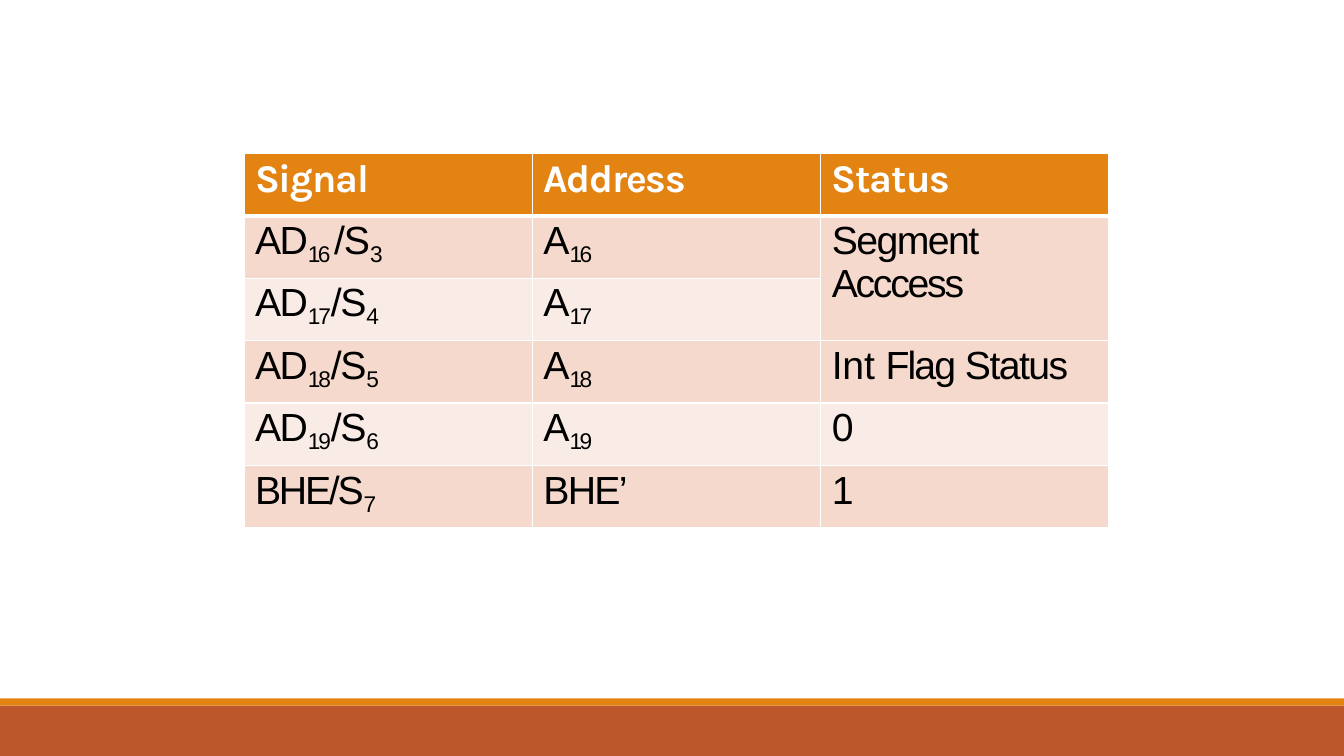
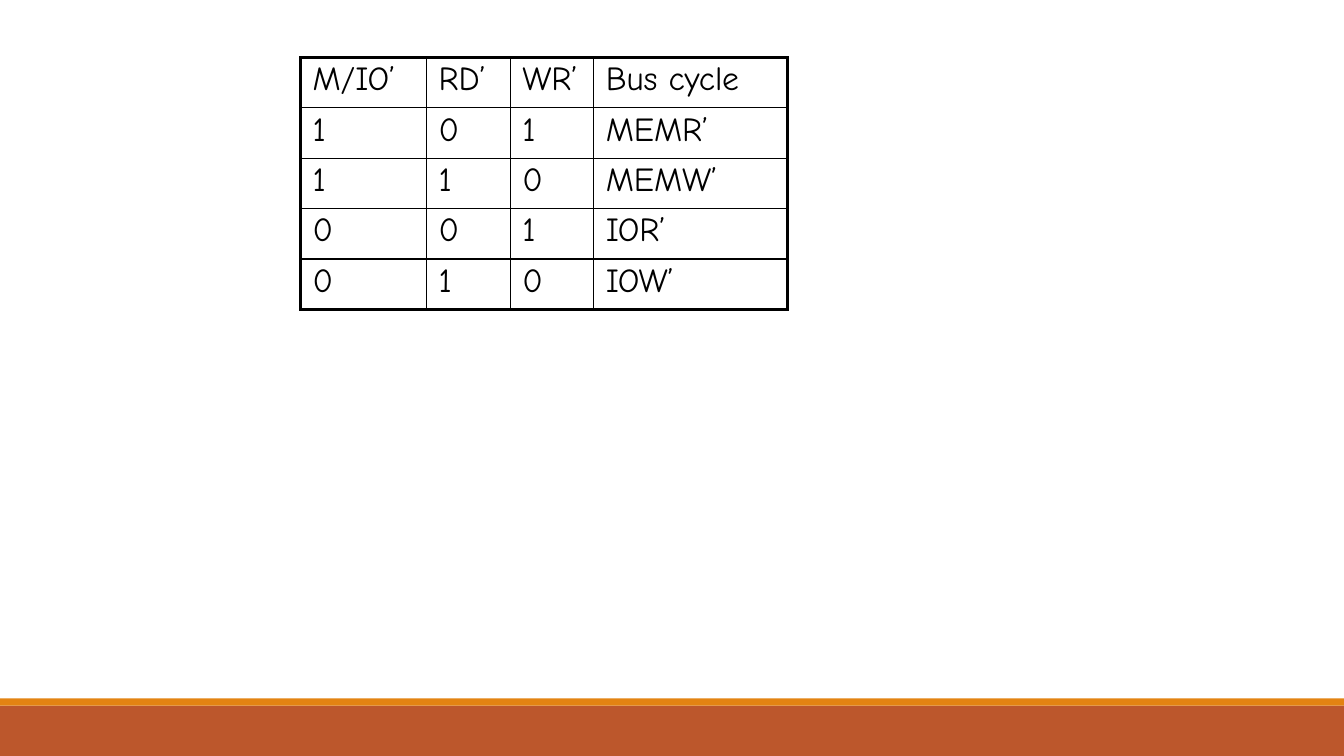
import pptx
import pptx.util
import pptx.dml.color
import pptx.enum.shapes
import pptx.oxml
import pptx.oxml.ns

Inches, Pt = pptx.util.Inches, pptx.util.Pt
RGB = pptx.dml.color.RGBColor.from_string

COLORS = {"rust": "BC572C", "orange": "E38312", "white": "FFFFFF",
          "black": "000000", "band_dark": "F5D9CC", "band_light": "F9ECE7"}

# Shared bands at the foot of each slide: top, height, colour
BANDS = [(7, 0.5, "rust"), (6.93, 0.07, "orange")]


def fill_cell(cell, runs, font, indent, fill, borders):
    """Write (text, spacing) runs, where a leading _ marks a subscript;
    borders are (colour, left, right, top, bottom) with widths in points."""
    margins = {"margin_left": 0, "margin_right": 0,
               "margin_top": Inches(0.03), "margin_bottom": 0}
    for name, value in margins.items():
        setattr(cell, name, value)
    p = cell.text_frame.paragraphs[0]
    p.space_before = Pt(2.4)
    p._p.get_or_add_pPr().set("marL", str(Inches(indent)))
    for text, spacing in runs:
        r = p.add_run()
        r.text = text.removeprefix("_")
        for name, value in font.items():
            if name == "color":
                r.font.color.rgb = RGB(COLORS[value])
            else:
                setattr(r.font, name, value)
        rPr = r._r.get_or_add_rPr()
        rPr.set("spc", str(round(spacing * 100)))
        if text.startswith("_"):
            rPr.set("baseline", "-21000")
    if fill:
        cell.fill.solid()
        cell.fill.fore_color.rgb = RGB(COLORS[fill])
    else:
        cell.fill.background()
    color, *widths = borders
    tcPr = cell._tc.get_or_add_tcPr()
    for i, (side, width) in enumerate(zip("LRTB", widths)):
        tcPr.insert(i, pptx.oxml.parse_xml(
            f'<a:ln{side} {pptx.oxml.ns.nsdecls("a")} w="{Pt(width)}">'
            f'<a:solidFill><a:srgbClr val="{COLORS[color]}"/></a:solidFill>'
            f'</a:ln{side}>'))


def add_plain_table(s, left, top, widths, row_height, n_rows):
    """Add a table without header or banding effects."""
    frame = s.shapes.add_table(n_rows, len(widths), Inches(left), Inches(top),
                               Inches(sum(widths)), Inches(row_height * n_rows))
    table = frame.table
    table.first_row = table.horz_banding = False
    for col, width in zip(table.columns, widths):
        col.width = Inches(width)
    for row in table.rows:
        row.height = Inches(row_height)
    return table


prs = pptx.Presentation()
prs.slide_width, prs.slide_height = Inches(13.33), Inches(7.5)
slides = [prs.slides.add_slide(prs.slide_layouts[6]) for _ in range(2)]
for s in slides:
    for top, height, color in BANDS:
        sp = s.shapes.add_shape(pptx.enum.shapes.MSO_SHAPE.RECTANGLE, 0, Inches(top),
                                prs.slide_width, Inches(height))
        sp.shadow.inherit = False
        sp.fill.solid()
        sp.fill.fore_color.rgb = RGB(COLORS[color])
        sp.line.fill.background()

# Slide 1: multiplexed signals
signals = [
    [[("Signal", -0.8)], [("Address", -0.9)], [("Status", -0.8)]],
    [[("AD", -1.2), ("_16 ", -1.8), ("/S", -0.8), ("_3", -1.2)],
     [("A", -1.2), ("_16", -1.8)],
     [("Segment ", -1.1), ("Acccess", -1.6)]],
]
statuses = [[], [("Int ", -0.1), ("Flag ", -1.4), ("Status", -1.1)], [("0", 0)]]
for i, status in enumerate(statuses):
    signals.append([
        [("AD", -1.1), (f"_{17 + i}", -1.6), ("/S", -1.1), (f"_{4 + i}", -1.6)],
        [("A", -1.2), (f"_{17 + i}", -1.8)],
        status])
signals.append([[("BHE/S", -1.6), ("_7", -2.5)], [("BHE’", -1.2)], [("1", 0)]])

head_font = {"name": "Karla", "size": Pt(28), "bold": True, "color": "white"}
body_font = {"name": "Arial", "size": Pt(28), "bold": False, "color": "black"}
table = add_plain_table(slides[0], 2.42, 1.52, [2.86] * 3, 0.62, len(signals))
for i, row in enumerate(signals):
    font = body_font if i else head_font
    fill = ("band_light", "band_dark")[i % 2] if i else "orange"
    borders = ("white", 1, 1, 3 if i == 1 else 1, 1 if i else 3)
    for j, runs in enumerate(row):
        fill_cell(table.cell(i, j), runs, font, 0.11, fill, borders)
segment = table.cell(1, 2)
segment.merge(table.cell(2, 2))
segment.margin_right = Inches(0.3)

# Slide 2: bus cycles
cycles = [["M/IO’", "RD’", "WR’", "Bus cycle"],
          ["1", "0", "1", "MEMR’"],
          ["1", "1", "0", "MEMW’"],
          ["0", "0", "1", "IOR’"],
          ["0", "1", "0", "IOW’"]]
cycle_font = {"name": "Comic Neue", "size": Pt(24), "bold": False, "color": "black"}
table = add_plain_table(slides[1], 2.98, 0.57, [1.25, 0.83, 0.83, 1.92], 0.5, len(cycles))
for i, row in enumerate(cycles):
    for j, text in enumerate(row):
        outer = (j == 0, j == len(row) - 1, i == 0, i == len(cycles) - 1)
        borders = ["black"] + [2.25 if edge else 1 for edge in outer]
        spacing = -0.1 if j == len(row) - 1 else 0
        fill_cell(table.cell(i, j), [(text, spacing)], cycle_font, 0.12, None, borders)

prs.save("out.pptx")
